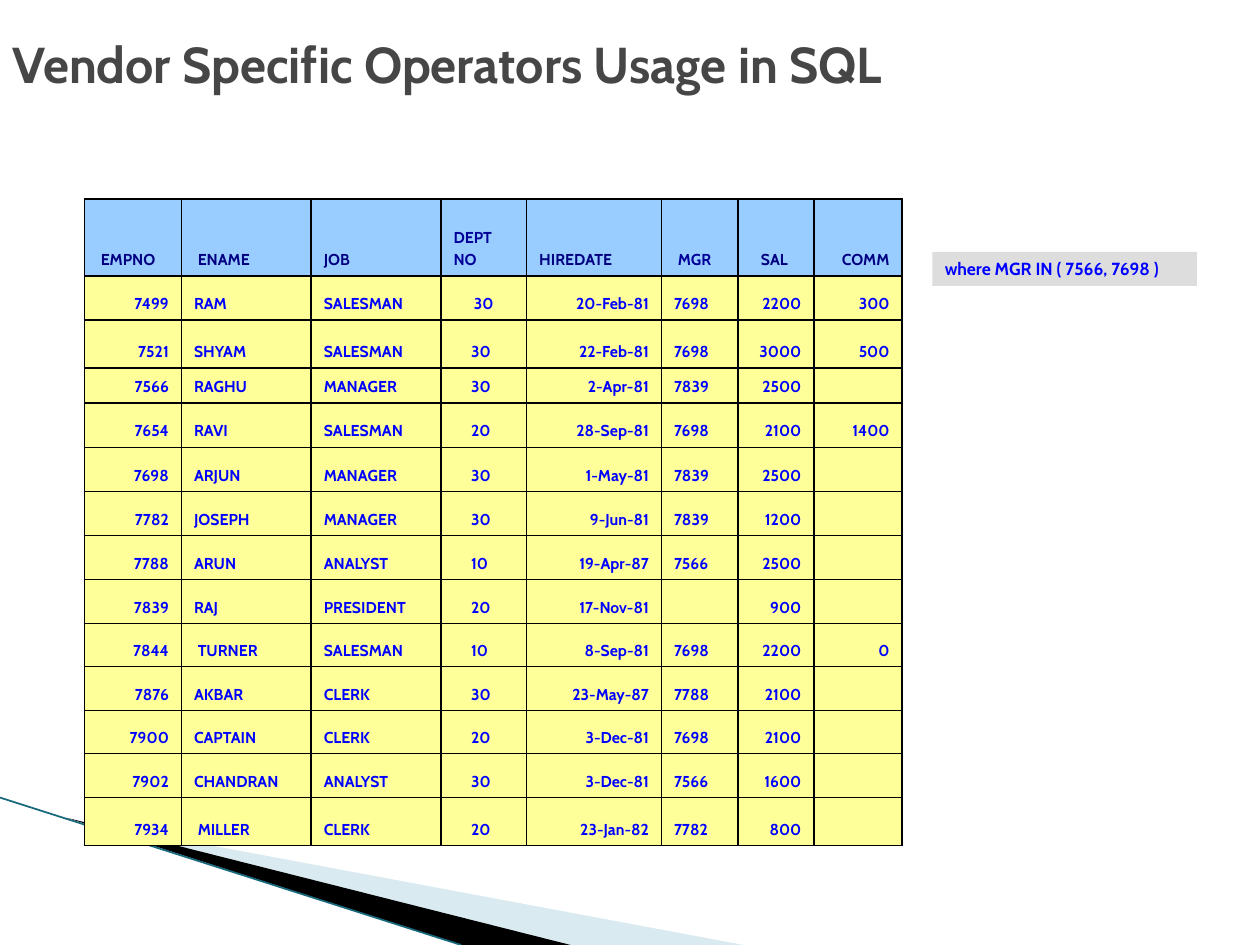
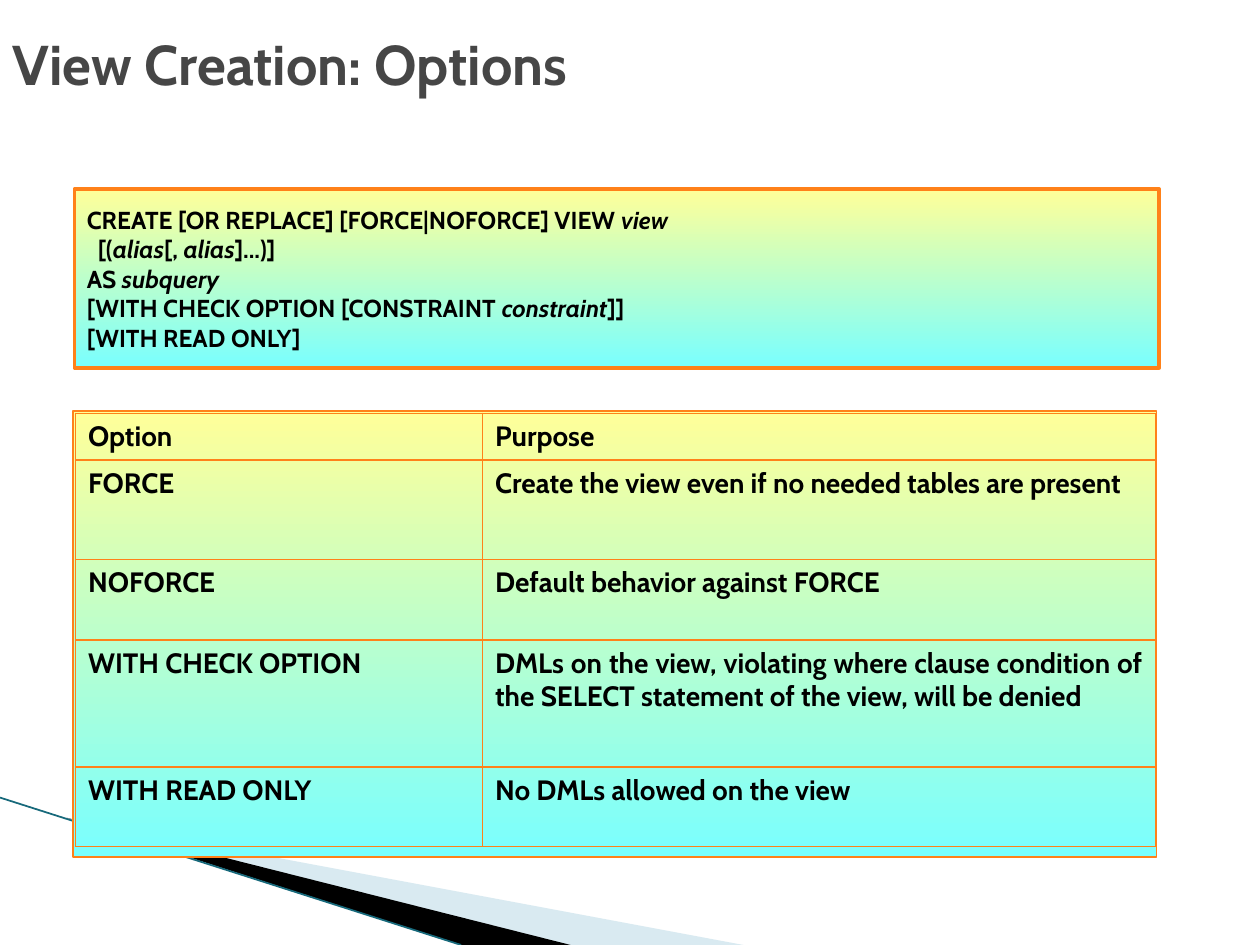
from lxml import etree
from pptx import Presentation
from pptx.dml.color import RGBColor
from pptx.enum.shapes import MSO_CONNECTOR, MSO_SHAPE
from pptx.enum.text import MSO_ANCHOR, MSO_AUTO_SIZE, PP_ALIGN
from pptx.oxml.ns import qn
from pptx.util import Inches, Pt

LEFT, RIGHT, CENTER = PP_ALIGN.LEFT, PP_ALIGN.RIGHT, PP_ALIGN.CENTER
JUSTIFY = PP_ALIGN.JUSTIFY
TOP, MIDDLE, BOTTOM = MSO_ANCHOR.TOP, MSO_ANCHOR.MIDDLE, MSO_ANCHOR.BOTTOM
RECT, STRAIGHT = MSO_SHAPE.RECTANGLE, MSO_CONNECTOR.STRAIGHT
NO_FIT = MSO_AUTO_SIZE.NONE
TITLE_ONLY = 5
FONT = "Cabin"
PAD = 0.1

COLORS = {
    "title": "464646", "ink": "000000", "sky": "A0CBDC", "teal": "17697B",
    "head": "99CCFF", "navy": "000080", "dept": "000099",
    "body": "FFFF99", "blue": "0000FF", "grey": "DDDDDD",
    "lemon": "FFFF99", "aqua": "79FFFF", "orange": "FF8119",
}

STAFF_COLS = [0.77, 1.03, 1.03, 0.68, 1.07, 0.61, 0.6, 0.7]
STAFF_ROWS = [0.61, 0.35, 0.38, 0.28, 0.35, 0.35, 0.35, 0.35, 0.35, 0.34,
              0.35, 0.34, 0.35, 0.38]
STAFF_HEAD = ["EMPNO", "ENAME", "JOB", "DEPT\nNO", "HIREDATE", "MGR", "SAL",
              "COMM"]
HEAD_INDENT = [0.03, 0.03, 0, 0, 0, 0.03, 0.08, 0]
STAFF_ALIGN = [RIGHT, LEFT, LEFT, LEFT, RIGHT, LEFT, RIGHT, RIGHT]
STAFF = """\
7499|RAM|SALESMAN|30|20-Feb-81|7698|2200|300
7521|SHYAM|SALESMAN|30|22-Feb-81|7698|3000|500
7566|RAGHU|MANAGER|30|2-Apr-81|7839|2500|
7654|RAVI|SALESMAN|20|28-Sep-81|7698|2100|1400
7698|ARJUN|MANAGER|30|1-May-81|7839|2500|
7782|JOSEPH|MANAGER|30|9-Jun-81|7839|1200|
7788|ARUN|ANALYST|10|19-Apr-87|7566|2500|
7839|RAJ|PRESIDENT|20|17-Nov-81||900|
7844|TURNER|SALESMAN|10|8-Sep-81|7698|2200|0
7876|AKBAR|CLERK|30|23-May-87|7788|2100|
7900|CAPTAIN|CLERK|20|3-Dec-81|7698|2100|
7902|CHANDRAN|ANALYST|30|3-Dec-81|7566|1600|
7934|MILLER|CLERK|20|23-Jan-82|7782|800|"""

# Every second part of a line is a placeholder name, set in italics.
SYNTAX = [
    ["CREATE [OR REPLACE] [FORCE|NOFORCE] VIEW ", "view"],
    ["  [(", "alias", "[, ", "alias", "]...)]"],
    ["AS ", "subquery"],
    ["[WITH CHECK OPTION [CONSTRAINT ", "constraint", "]]"],
    ["[WITH READ ONLY]"],
]
OPTION_COLS = [3.23, 5.34]
OPTION_ROWS = [0.37, 0.79, 0.64, 1.01, 0.63]
OPTIONS = [
    ("Option", "Purpose"),
    ("FORCE", "Create the view even if no needed tables are present"),
    ("NOFORCE", "Default behavior against FORCE"),
    ("WITH CHECK OPTION", "DMLs on the view, violating where clause condition "
     "of the SELECT statement of the view, will be denied"),
    ("WITH READ ONLY", "No DMLs allowed on the view"),
]


def rgb(name):
    return RGBColor.from_string(COLORS[name])


def inches(*box):
    return [Inches(v) for v in box]


def apply(item, **values):
    for key, value in values.items():
        setattr(item, key, value)


def style(font, size, color, **more):
    apply(font, name=FONT, size=Pt(size), bold=True, **more)
    font.color.rgb = rgb(color)


def solid(shape, color):
    shape.fill.solid()
    shape.fill.fore_color.rgb = rgb(color)


def add_rect(slide, box):
    rect = slide.shapes.add_shape(RECT, *inches(*box))
    rect.shadow.inherit = False
    return rect


def add_panel(slide, box, width):
    """Add a box shaded from lemon down to aqua, with an orange edge."""
    panel = add_rect(slide, box)
    panel.fill.gradient()
    panel.fill.gradient_angle = 270
    for stop, color, at in zip(panel.fill.gradient_stops, ("lemon", "aqua"), (0, 1)):
        stop.color.rgb = rgb(color)
        stop.position = at
    panel.line.color.rgb = rgb("orange")
    panel.line.width = Pt(width)
    return panel


def add_wedge(slide, points, color, alpha=100):
    start, *rest = [inches(*point) for point in points]
    path = slide.shapes.build_freeform(*start)
    path.add_line_segments(rest, close=True)
    wedge = path.convert_to_shape()
    wedge.shadow.inherit = False
    solid(wedge, color)
    wedge.line.fill.background()
    if alpha < 100:
        tint = wedge.fill._xPr.find(qn("a:solidFill"))[0]
        etree.SubElement(tint, qn("a:alpha"), val=str(alpha * 1000))


def add_sweep(slide):
    """Draw the wedges and the thin line in the lower left corner."""
    add_wedge(slide, [(0.55, 6.5), (5.9, 7.5), (4.52, 7.5)], "sky", 40)
    add_wedge(slide, [(0.53, 6.49), (4.53, 7.5), (3.66, 7.5)], "ink")
    line = slide.shapes.add_connector(STRAIGHT, *inches(0, 6.33, 3.66, 7.5))
    line.line.color.rgb = rgb("teal")
    line.line.width = Pt(1)
    etree.SubElement(line._element.spPr, qn("a:effectLst"))


def add_base(deck, text, size):
    slide = deck.slides.add_slide(deck.slide_layouts[TITLE_ONLY])
    add_sweep(slide)
    title = slide.shapes.title
    left, top, width, height = inches(0, 0, 8.27, 1)
    apply(title, left=left, top=top, width=width, height=height)
    frame = title.text_frame
    frame.text = text
    apply(frame, auto_size=NO_FIT, word_wrap=True, vertical_anchor=MIDDLE)
    frame.paragraphs[0].alignment = LEFT
    style(frame.paragraphs[0].runs[0].font, size, "title")
    return slide


def add_grid(slide, left, top, cols, rows):
    box = inches(left, top, sum(cols), sum(rows))
    table = slide.shapes.add_table(len(rows), len(cols), *box).table
    apply(table, first_row=False, horz_banding=False)
    for col, width in zip(table.columns, cols):
        col.width = Inches(width)
    for row, height in zip(table.rows, rows):
        row.height = Inches(height)
    return table


def add_edges(cell, color):
    props = cell._tc.get_or_add_tcPr()
    for i, side in enumerate("LRTB"):
        edge = etree.Element(qn(f"a:ln{side}"), w=str(Pt(1)))
        fill = etree.SubElement(edge, qn("a:solidFill"))
        etree.SubElement(fill, qn("a:srgbClr"), val=COLORS[color])
        props.insert(i, edge)


def fill_cell(cell, text, size, color, edge, fill=None, align=LEFT,
              anchor=TOP, indent=0):
    apply(cell, vertical_anchor=anchor, margin_left=Inches(PAD + indent))
    cell.text_frame.text = text
    for i, para in enumerate(cell.text_frame.paragraphs):
        para.alignment = align
        if i:
            para.space_before = Pt(size * 0.2)
        for run in para.runs:
            style(run.font, size, color)
        if not text:
            etree.SubElement(para._p, qn("a:endParaRPr"), sz=str(size * 100))
    if fill:
        solid(cell, fill)
    else:
        cell.fill.background()
    add_edges(cell, edge)


def add_staff(slide, left, top):
    table = add_grid(slide, left, top, STAFF_COLS, STAFF_ROWS)
    for c, text in enumerate(STAFF_HEAD):
        color = "dept" if c in (3, 5) else "navy"
        align = RIGHT if text == "COMM" else LEFT
        fill_cell(table.cell(0, c), text, 9, color, "ink", "head", align,
                  BOTTOM, HEAD_INDENT[c])
    for r, line in enumerate(STAFF.splitlines(), 1):
        for c, text in enumerate(line.split("|")):
            align, indent = STAFF_ALIGN[c], 0
            if c == 3:
                align, indent = (CENTER, 0) if r == 1 else (LEFT, 0.14)
            elif text in ("TURNER", "MILLER"):
                indent = 0.03
            fill_cell(table.cell(r, c), text, 9, "blue", "ink", "body", align,
                      BOTTOM, indent)


def add_clause(slide, box):
    note = add_rect(slide, box)
    solid(note, "grey")
    note.line.fill.background()
    frame = note.text_frame
    frame.text = "where MGR IN ( 7566, 7698 )"
    apply(frame, word_wrap=False, vertical_anchor=MIDDLE)
    frame.paragraphs[0].alignment = LEFT
    style(frame.paragraphs[0].runs[0].font, 10, "blue")


def add_syntax(slide, box):
    frame = add_panel(slide, box, 2).text_frame
    apply(frame, word_wrap=False, vertical_anchor=MIDDLE)
    for i, parts in enumerate(SYNTAX):
        para = frame.add_paragraph() if i else frame.paragraphs[0]
        para.alignment = LEFT
        for j, text in enumerate(parts):
            run = para.add_run()
            run.text = text
            style(run.font, 14, "ink", italic=j % 2 == 1)


def add_options(slide, box):
    left, top = box[:2]
    add_panel(slide, box, 1)
    table = add_grid(slide, left + 0.02, top + 0.02, OPTION_COLS, OPTION_ROWS)
    for r, row in enumerate(OPTIONS):
        for c, text in enumerate(row):
            fill_cell(table.cell(r, c), text, 16, "ink", "orange",
                      align=JUSTIFY)


def main():
    deck = Presentation()
    apply(deck, slide_width=Inches(10), slide_height=Inches(7.5))
    slide = add_base(deck, "Vendor Specific Operators Usage in SQL", 28.8)
    add_clause(slide, (7.4, 2, 2.1, 0.27))
    add_staff(slide, 0.67, 1.58)
    slide = add_base(deck, "View Creation: Options", 32)
    add_options(slide, (0.58, 3.26, 8.6, 3.54))
    add_syntax(slide, (0.59, 1.5, 8.61, 1.42))
    deck.save("out.pptx")


if __name__ == "__main__":
    main()
